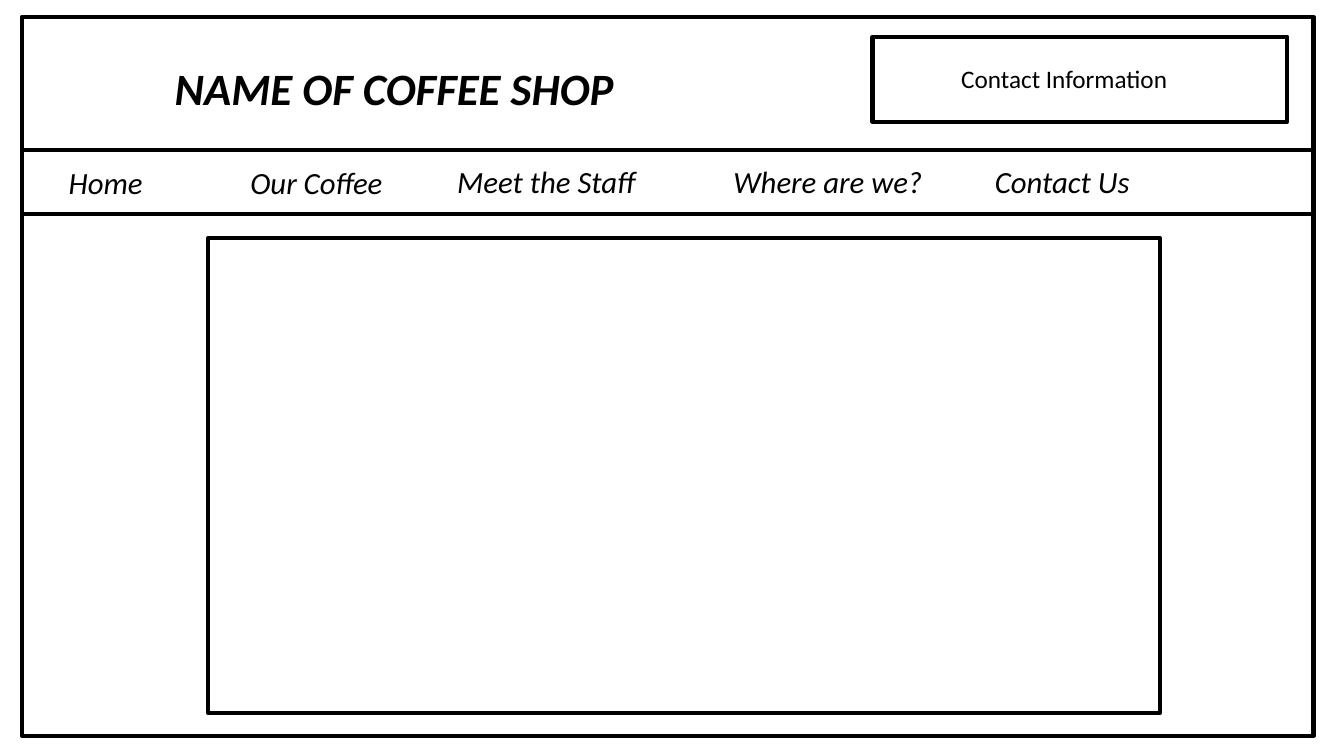
from pptx import Presentation
from pptx.dml.color import RGBColor
from pptx.enum.shapes import MSO_SHAPE
from pptx.enum.text import MSO_AUTO_SIZE
from pptx.util import Emu, Pt

PX = 9525
FONT = "Calibri"
COLORS = {"ink": "000000", "paper": "FFFFFF"}
NAV_ITEMS = [
    ("Home", 56, 151, 126),
    ("Our Coffee", 229, 151, 167),
    ("Meet the Staff", 426, 150, 214),
    ("Where are we?", 689, 150, 225),
    ("Contact Us", 938, 150, 167),
]


def px(*lengths):
    """Turn px lengths into EMU."""
    return [Emu(n * PX) for n in lengths]


def rgb(name):
    """Return a named colour."""
    return RGBColor.from_string(COLORS[name])


def add_frame(s, x, y, w, h):
    """Add an unfilled rectangle with a heavy outline."""
    sp = s.shapes.add_shape(MSO_SHAPE.RECTANGLE, *px(x, y, w, h))
    sp.shadow.inherit = False
    sp.fill.background()
    sp.line.color.rgb = rgb("ink")
    sp.line.width = Pt(3)


def add_label(s, text, x, y, w, h, size, bold=False, italic=False):
    """Add a single-line text box."""
    tf = s.shapes.add_textbox(*px(x, y, w, h)).text_frame
    tf.word_wrap = True
    tf.auto_size = MSO_AUTO_SIZE.SHAPE_TO_FIT_TEXT
    tf.text = text
    font = tf.paragraphs[0].runs[0].font
    font.name = FONT
    font.size = Pt(size)
    font.bold = bold
    font.italic = italic
    font.color.rgb = rgb("ink")


def add_header(s):
    """Add the shop name and the contact box."""
    add_label(s, "NAME OF COFFEE SHOP", 157, 53, 479, 61, 32, bold=True, italic=True)
    add_frame(s, 831, 35, 395, 81)
    add_label(s, "Contact Information", 906, 56, 311, 38, 18)


def add_nav(s):
    """Add the navigation bar and its items."""
    add_frame(s, 21, 143, 1230, 61)
    for text, x, y, w in NAV_ITEMS:
        add_label(s, text, x, y, w, 45, 22, italic=True)


def main():
    """Build the web page wireframe slide."""
    prs = Presentation()
    prs.slide_width, prs.slide_height = px(1280, 720)
    s = prs.slides.add_slide(prs.slide_layouts[6])
    s.background.fill.solid()
    s.background.fill.fore_color.rgb = rgb("paper")
    add_frame(s, 21, 16, 1230, 685)
    add_header(s)
    add_nav(s)
    add_frame(s, 198, 227, 907, 452)
    prs.save("out.pptx")


if __name__ == "__main__":
    main()
